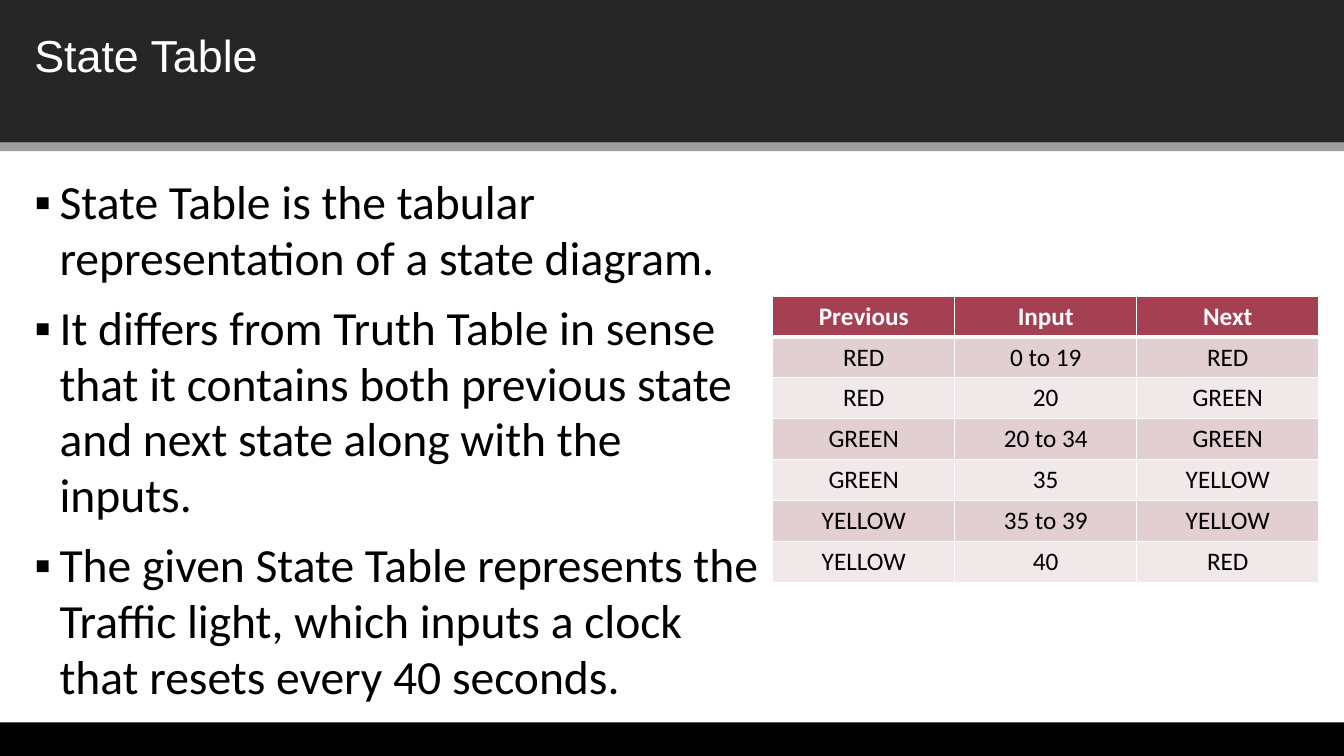
"""Build the State Table slide for a traffic light."""
from pptx import Presentation
from pptx.dml.color import RGBColor
from pptx.enum.shapes import MSO_SHAPE
from pptx.enum.text import MSO_ANCHOR, PP_ALIGN
from pptx.oxml import parse_xml
from pptx.oxml.ns import nsdecls
from pptx.util import Pt

WHITE = RGBColor(0xFF, 0xFF, 0xFF)
BLACK = RGBColor(0x00, 0x00, 0x00)
CHARCOAL = RGBColor(0x26, 0x26, 0x26)
GREY = RGBColor(0x9F, 0x9F, 0x9F)
CRIMSON = RGBColor(0xA5, 0x3F, 0x52)
ROSE = RGBColor(0xE1, 0xCF, 0xD1)
BLUSH = RGBColor(0xF0, 0xE8, 0xE9)

POINTS = [
    "State Table is the tabular representation of a state diagram.",
    "It differs from Truth Table in sense that it contains both previous state "
    "and next state along with the inputs.",
    "The given State Table represents the Traffic light, which inputs a clock "
    "that resets every 40 seconds.",
]
TRANSITIONS = [
    ("Previous", "Input", "Next"),
    ("RED", "0 to 19", "RED"),
    ("RED", "20", "GREEN"),
    ("GREEN", "20 to 34", "GREEN"),
    ("GREEN", "35", "YELLOW"),
    ("YELLOW", "35 to 39", "YELLOW"),
    ("YELLOW", "40", "RED"),
]


def add_run(paragraph, text, font_name, size, color, bold=False):
    run = paragraph.add_run()
    run.text = text
    run.font.name = font_name
    run.font.size = Pt(size)
    run.font.bold = bold
    run.font.color.rgb = color


prs = Presentation()
prs.slide_width = Pt(960)
prs.slide_height = Pt(540)
slide = prs.slides.add_slide(prs.slide_layouts[6])

for top, height, color in [(0, 102, CHARCOAL), (102, 6, GREY), (516, 24, BLACK)]:
    band = slide.shapes.add_shape(MSO_SHAPE.RECTANGLE, 0, Pt(top), Pt(960), Pt(height))
    band.shadow.inherit = False
    band.fill.solid()
    band.fill.fore_color.rgb = color
    band.line.fill.background()

title = slide.shapes.add_textbox(Pt(17.5), Pt(16), Pt(924), Pt(46)).text_frame
title.word_wrap = True
add_run(title.paragraphs[0], "State Table", "Arial", 32, WHITE)

explanation = slide.shapes.add_textbox(Pt(17.5), Pt(121), Pt(534), Pt(395)).text_frame
explanation.word_wrap = True
for index, point in enumerate(POINTS):
    paragraph = explanation.add_paragraph() if index else explanation.paragraphs[0]
    paragraph.line_spacing = 0.98
    paragraph.space_before = Pt(10 if index else 0)
    properties = paragraph._p.get_or_add_pPr()
    properties.set("marL", str(Pt(18)))
    properties.set("indent", str(-Pt(18)))
    properties.append(parse_xml(f'<a:buFont {nsdecls("a")} typeface="Arial"/>'))
    properties.append(parse_xml(f'<a:buChar {nsdecls("a")} char="▪"/>'))
    add_run(paragraph, point, "Calibri", 34, BLACK)

state_table = slide.shapes.add_table(
    len(TRANSITIONS), 3, Pt(552), Pt(211.5), Pt(390), Pt(204.4)
).table
for row in state_table.rows:
    row.height = Pt(29.2)
for row_index, transition in enumerate(TRANSITIONS):
    is_header = row_index == 0
    for column_index, value in enumerate(transition):
        cell = state_table.cell(row_index, column_index)
        cell.vertical_anchor = MSO_ANCHOR.TOP
        for side in "LRTB":
            thick = (side == "B" and is_header) or (side == "T" and row_index == 1)
            cell._tc.get_or_add_tcPr().append(parse_xml(
                f'<a:ln{side} {nsdecls("a")} w="{Pt(3 if thick else 1)}">'
                f'<a:solidFill><a:srgbClr val="{WHITE}"/></a:solidFill></a:ln{side}>'
            ))
        cell.fill.solid()
        cell.fill.fore_color.rgb = CRIMSON if is_header else (BLUSH, ROSE)[row_index % 2]
        paragraph = cell.text_frame.paragraphs[0]
        paragraph.alignment = PP_ALIGN.CENTER
        add_run(paragraph, value, "Calibri", 18, WHITE if is_header else BLACK, is_header)

prs.save("out.pptx")
